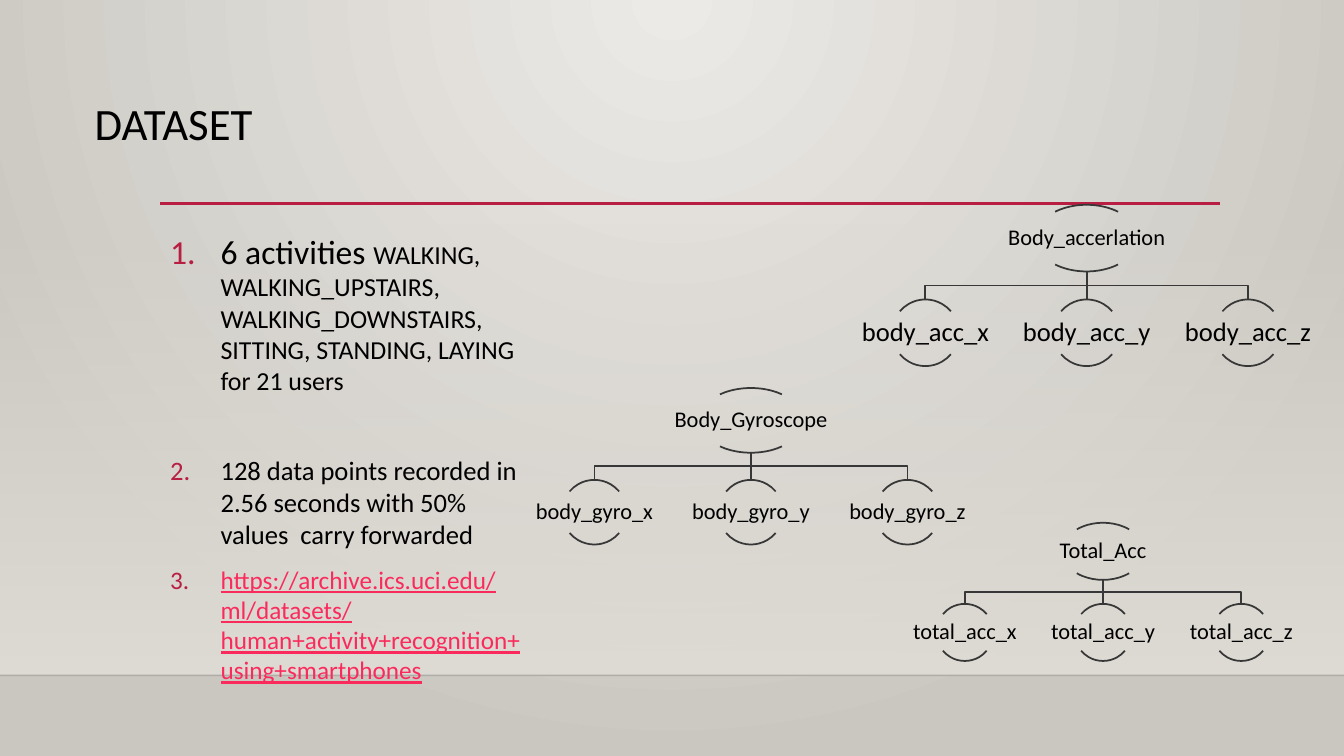
from dataclasses import dataclass

from lxml import etree
from pptx import Presentation
from pptx.dml.color import RGBColor
from pptx.enum.shapes import MSO_CONNECTOR, MSO_SHAPE
from pptx.enum.text import MSO_ANCHOR, PP_ALIGN
from pptx.oxml.ns import qn
from pptx.util import Pt

RECT, ARC = MSO_SHAPE.RECTANGLE, MSO_SHAPE.ARC
STRAIGHT = MSO_CONNECTOR.STRAIGHT
MIDDLE, TOP = MSO_ANCHOR.MIDDLE, MSO_ANCHOR.TOP
CENTER, LEFT = PP_ALIGN.CENTER, PP_ALIGN.LEFT
WIDE, HIGH = 960, 540
BLACK, RED, PINK, GRAY = "000000", "B71E42", "FA2B5C", "373737"
FONT = "Calibri"


@dataclass
class Tree:
    root: str
    leaf: str
    mid: float
    top: float
    width: float
    size: float
    font: float


@dataclass
class Bit:
    text: str
    size: float
    color: str = BLACK
    under: bool = False


@dataclass
class Item:
    gap: float
    bits: list[Bit]


TREES = [
    Tree("Body_accerlation", "body_acc", 776.2, 146.3, 73.6, 47.6, 19),
    Tree("Body_Gyroscope", "body_gyro", 536.4, 277.2, 74.4, 46.2, 16),
    Tree("Total_Acc", "total_acc", 787.9, 373.4, 58.4, 40.8, 16),
]
ITEMS = [
    Item(10, [
        Bit("6 activities ", 24),
        Bit("WALKING, WALKING_UPSTAIRS, WALKING_DOWNSTAIRS, "
            "SITTING, STANDING, LAYING for 21 users", 18.5),
    ]),
    Item(42, [Bit("128 data points recorded in 2.56 seconds "
                  "with 50% values  carry forwarded", 19)]),
    Item(10, [Bit("https://archive.ics.uci.edu/ml/datasets/"
                  "human+activity+recognition+using+smartphones",
                  18, PINK, True)]),
]


def paint(form, color: str) -> None:
    form.rgb = RGBColor.from_string(color)


def assign(target, values: dict) -> None:
    for name, value in values.items():
        setattr(target, name, value)


def add(node, tag: str, **attrs: str):
    return etree.SubElement(node, qn(tag), attrs)


def blend(fill, colors: list[str]) -> None:
    fill.gradient()
    for stop, color, place in zip(fill.gradient_stops, colors, (0, 1)):
        paint(stop.color, color)
        stop.position = place


def stroke(line, color: str, width: float) -> None:
    paint(line.color, color)
    line.width = Pt(width)


def rule(shapes, x: float, y: float, x2: float, y2: float,
         color: str, width: float):
    line = shapes.add_connector(STRAIGHT, Pt(x), Pt(y), Pt(x2), Pt(y2))
    stroke(line.line, color, width)
    add(line.element.spPr, "a:effectLst")
    return line


def frame(shapes, x: float, y: float, w: float, h: float,
          anchor, pad: tuple[float, float]):
    text = shapes.add_textbox(Pt(x), Pt(y), Pt(w), Pt(h)).text_frame
    side, edge = pad
    assign(text, {
        "word_wrap": True, "vertical_anchor": anchor,
        "margin_left": Pt(side), "margin_right": Pt(side),
        "margin_top": Pt(edge), "margin_bottom": Pt(edge),
    })
    return text


def write(para, bit: Bit) -> None:
    run = para.add_run()
    run.text = bit.text
    assign(run.font, {"name": FONT, "size": Pt(bit.size),
                      "underline": bit.under})
    paint(run.font.color, bit.color)


def label(shapes, x: float, y: float, w: float, h: float, bit: Bit,
          align=CENTER, pad: tuple[float, float] = (0.7, 0.7)) -> None:
    para = frame(shapes, x, y, w, h, MIDDLE, pad).paragraphs[0]
    assign(para, {"alignment": align, "line_spacing": 0.9})
    write(para, bit)


def node(shapes, mid: float, top: float, w: float, h: float,
         bit: Bit) -> None:
    for start, end in ((132, 192), (24, 84)):
        arc = shapes.add_shape(ARC, Pt(mid - w / 2), Pt(top), Pt(w), Pt(h))
        arc.adjustments[0], arc.adjustments[1] = start, end
        arc.fill.background()
        arc.shadow.inherit = False
        stroke(arc.line, GRAY, 1.25)
    label(shapes, mid - w, top + 0.18 * h, 2 * w, 0.64 * h, bit)


def elbow(shapes, x: float, y: float, x2: float, y2: float) -> None:
    half = (y + y2) / 2
    pen = shapes.build_freeform(Pt(x), Pt(y))
    points = [(x, half), (x2, half), (x2, y2)]
    pen.add_line_segments([(Pt(a), Pt(b)) for a, b in points], close=False)
    shape = pen.convert_to_shape()
    shape.fill.background()
    shape.shadow.inherit = False
    stroke(shape.line, GRAY, 1.25)


def draw(shapes, tree: Tree) -> None:
    size, mid = tree.size, tree.mid
    base, low = tree.top + size, tree.top + 1.42 * size
    step = 2.42 * size
    rule(shapes, mid, base, mid, low, GRAY, 1.25)
    for side in (-1, 1):
        elbow(shapes, mid, base, mid + side * step, low)
    node(shapes, mid, tree.top, tree.width, size, Bit(tree.root, 16))
    for index, axis in enumerate("xyz"):
        node(shapes, mid + (index - 1) * step, low, size, size,
             Bit(f"{tree.leaf}_{axis}", tree.font))


def bullets(shapes) -> None:
    text = frame(shapes, 114.5, 161.3, 264.2, 266.4, TOP, (7.2, 3.6))
    for index, item in enumerate(ITEMS):
        para = text.add_paragraph() if index else text.paragraphs[0]
        assign(para, {"alignment": LEFT, "space_before": Pt(item.gap)})
        props = para._p.get_or_add_pPr()
        props.set("marL", str(Pt(36)))
        props.set("indent", str(Pt(-36)))
        add(add(props, "a:buClr"), "a:srgbClr", val=RED)
        add(props, "a:buFont", typeface=FONT)
        add(props, "a:buAutoNum", type="arabicPeriod")
        for bit in item.bits:
            write(para, bit)


def scene(slide) -> None:
    blend(slide.background.fill, ["ECEAE7", "CAC7C1"])
    grad = slide.element.find(".//" + qn("p:bgPr") + "/" + qn("a:gradFill"))
    grad.remove(grad.find(qn("a:lin")))
    ring = add(grad, "a:path", path="circle")
    add(ring, "a:fillToRect", l="43000", t="0", r="43000", b="100000")

    shapes = slide.shapes
    wall = shapes.add_shape(RECT, 0, Pt(159), Pt(WIDE), Pt(323.4))
    blend(wall.fill, ["DFDBD5", "DFDBD5"])
    wall.fill.gradient_angle = 270
    wall.line.fill.background()
    wall.shadow.inherit = False
    add(wall.element.find(".//" + qn("a:srgbClr")), "a:alpha", val="0")

    floor = rule(shapes, 0, 482.4, WIDE, 482.4, "000001", 1)
    add(floor.element.find(".//" + qn("a:srgbClr")), "a:alpha", val="20000")
    rule(shapes, 114.5, 145.4, 871.2, 145.4, RED, 2.5)


def main() -> None:
    deck = Presentation()
    assign(deck, {"slide_width": Pt(WIDE), "slide_height": Pt(HIGH)})
    slide = deck.slides.add_slide(deck.slide_layouts[6])
    scene(slide)
    label(slide.shapes, 60.5, 33.8, 810, 112.3, Bit("DATASET", 32),
          LEFT, (7.2, 3.6))
    bullets(slide.shapes)
    for tree in TREES:
        draw(slide.shapes, tree)
    deck.save("out.pptx")


if __name__ == "__main__":
    main()
